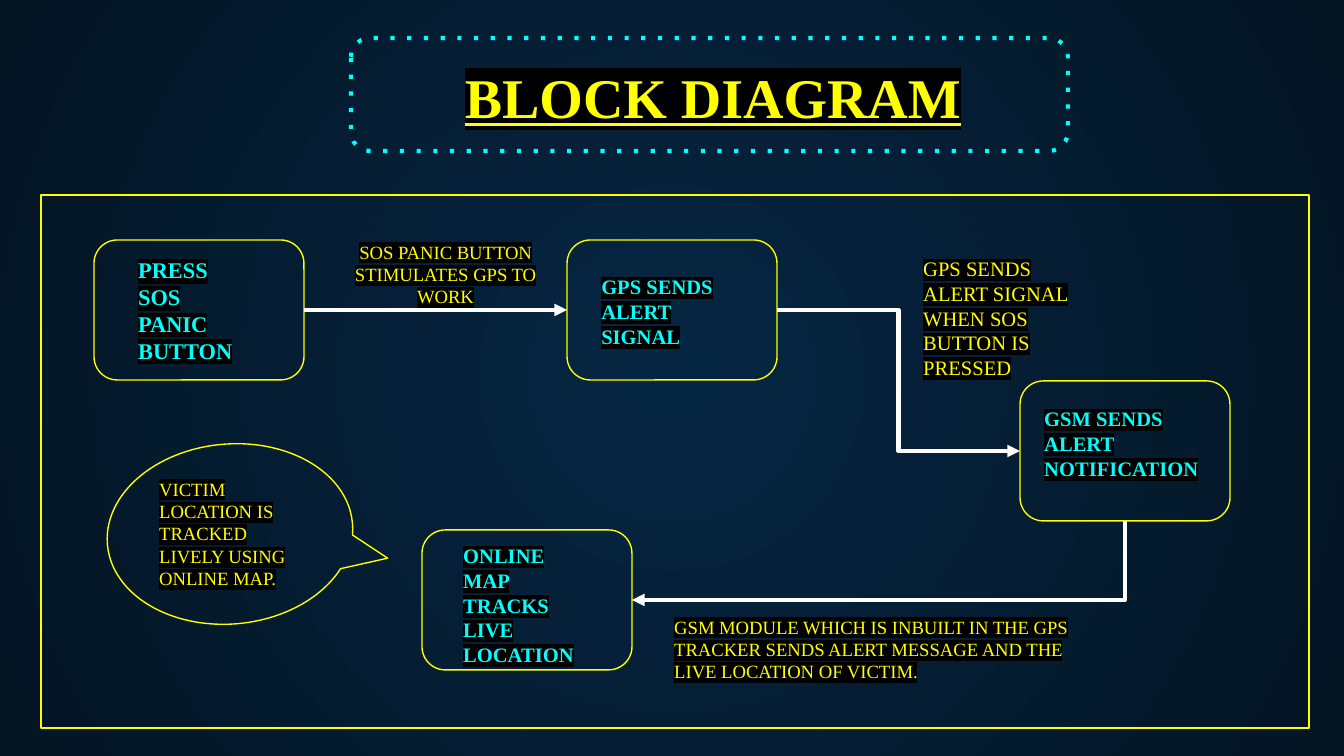
from lxml.etree import SubElement
from pptx import Presentation
from pptx.dml.color import RGBColor
from pptx.enum.shapes import MSO_CONNECTOR as LINK, MSO_SHAPE as SHAPE
from pptx.enum.text import MSO_ANCHOR as ANCHOR, MSO_AUTO_SIZE as FIT, PP_ALIGN as ALIGN
from pptx.oxml.ns import qn
from pptx.util import Emu, Pt

PX = 914400 / 134.4
YELLOW, CYAN, WHITE, BLACK = "FFFF00", "00FFFF", "FFFFFF", "000000"
BLOCK_SIZE = (210, 140)
TOP, LEFT, BOTTOM, RIGHT = range(4)


def px(*lengths):
    return [Emu(round(length * PX)) for length in lengths]


def color(value):
    return RGBColor.from_string(value)


def paint_background(page, center, edge):
    fill = page.background.fill
    fill.gradient()
    for position, (stop, value) in enumerate(zip(fill.gradient_stops, (center, edge))):
        stop.color.rgb = color(value)
        stop.position = position
    gradient = page._element.find(".//" + qn("a:gradFill"))
    gradient.remove(gradient.find(qn("a:lin")))
    circle = SubElement(gradient, qn("a:path"), {"path": "circle"})
    SubElement(circle, qn("a:fillToRect"), {side: "50000" for side in "ltrb"})


def add_outline(page, kind, place, line=YELLOW, width=0.75, dash=None):
    shape = page.shapes.add_shape(kind, *px(*place))
    shape.shadow.inherit = False
    shape.fill.background()
    shape.line.color.rgb = color(line)
    shape.line.width = Pt(width)
    if dash:
        SubElement(shape.line._get_or_add_ln(), qn("a:prstDash"), {"val": dash})
    return shape


def add_label(page, text, place, size, ink=YELLOW, align=ALIGN.LEFT,
              anchor=ANCHOR.TOP, fit=FIT.SHAPE_TO_FIT_TEXT, **font):
    """Add text with a black highlight."""
    box = page.shapes.add_textbox(*px(*place))
    frame = box.text_frame
    inset = Emu(91440)
    settings = dict(word_wrap=True, auto_size=fit, vertical_anchor=anchor,
                    margin_left=inset, margin_right=inset,
                    margin_top=inset, margin_bottom=inset)
    for name, value in settings.items():
        setattr(frame, name, value)
    para = frame.paragraphs[0]
    para.alignment = align
    span = para.add_run()
    span.text = text
    for name, value in dict(font, size=Pt(size), name="Times New Roman").items():
        setattr(span.font, name, value)
    span.font.color.rgb = color(ink)
    properties = span._r.get_or_add_rPr()
    highlight = SubElement(properties, qn("a:highlight"))
    SubElement(highlight, qn("a:srgbClr"), {"val": BLACK})
    properties.find(qn("a:solidFill")).addnext(highlight)


def add_arrow(page, kind, start, start_side, end, end_side):
    arrow = page.shapes.add_connector(kind, 0, 0, 0, 0)
    arrow.begin_connect(start, start_side)
    arrow.end_connect(end, end_side)
    arrow.line.color.rgb = color(WHITE)
    arrow.line.width = Pt(2.25)
    SubElement(arrow.line._get_or_add_ln(), qn("a:tailEnd"), {"type": "triangle"})
    SubElement(arrow._element.spPr, qn("a:effectLst"))
    return arrow


def turn_down_then_left(arrow):
    """Make an elbow with one corner, as a right-then-down bend turned by 90°."""
    across, down = arrow.width, arrow.height
    shift = (across - down) // 2
    arrow.left, arrow.top = arrow.left + shift, arrow.top - shift
    arrow.width, arrow.height = down, across
    properties = arrow._element.spPr
    frame = properties.find(qn("a:xfrm"))
    for flip in ("flipH", "flipV"):
        frame.attrib.pop(flip, None)
    frame.set("rot", str(90 * 60000))
    properties.find(qn("a:prstGeom")).set("prst", "bentConnector2")


def main():
    deck = Presentation()
    deck.slide_width, deck.slide_height = px(1344, 756)
    page = deck.slides.add_slide(deck.slide_layouts[6])
    paint_background(page, "052643", "041523")

    add_label(page, "BLOCK DIAGRAM", (262, 54, 902, 89), 30, align=ALIGN.CENTER,
              anchor=ANCHOR.BOTTOM, fit=FIT.NONE, bold=True, underline=True)
    add_outline(page, SHAPE.ROUNDED_RECTANGLE, (351, 38, 717, 113), CYAN, 2.25, "dot")
    add_outline(page, SHAPE.RECTANGLE, (41, 195, 1268, 533))

    corners = [(94, 240), (567, 240), (1020, 381), (422, 530)]
    button, gps, gsm, tracker = [
        add_outline(page, SHAPE.ROUNDED_RECTANGLE, corner + BLOCK_SIZE)
        for corner in corners]

    add_arrow(page, LINK.STRAIGHT, button, RIGHT, gps, LEFT)
    add_arrow(page, LINK.ELBOW, gps, RIGHT, gsm, LEFT)
    turn_down_then_left(add_arrow(page, LINK.ELBOW, gsm, BOTTOM, tracker, RIGHT))

    block_labels = [
        ("PRESS SOS PANIC BUTTON", (125, 243, 138, 136), 12),
        ("GPS SENDS ALERT SIGNAL", (588, 261, 168, 102), 11),
        ("GSM SENDS ALERT NOTIFICATION", (1031, 393, 199, 102), 11),
        ("ONLINE MAP TRACKS LIVE LOCATION", (450, 530, 155, 152), 11),
    ]
    for text, place, size in block_labels:
        add_label(page, text, place, size, CYAN, bold=True)

    add_label(page, "SOS PANIC BUTTON STIMULATES GPS TO WORK",
              (318, 227, 255, 95), 10, align=ALIGN.CENTER)
    add_label(page, "GPS SENDS ALERT SIGNAL WHEN SOS BUTTON IS PRESSED",
              (910, 243, 191, 152), 11)
    add_label(page, "GSM MODULE WHICH IS INBUILT IN THE GPS TRACKER SENDS ALERT "
              "MESSAGE AND THE LIVE LOCATION OF VICTIM.", (661, 602, 440, 95), 10)

    bubble = add_outline(page, SHAPE.OVAL_CALLOUT, (140, 411, 180, 246))
    bubble.rotation = 265
    bubble.adjustments[0], bubble.adjustments[1] = -0.21, 0.63
    add_label(page, "VICTIM LOCATION IS TRACKED LIVELY USING ONLINE MAP.",
              (146, 464, 168, 140), 10)

    deck.save("out.pptx")


if __name__ == "__main__":
    main()
